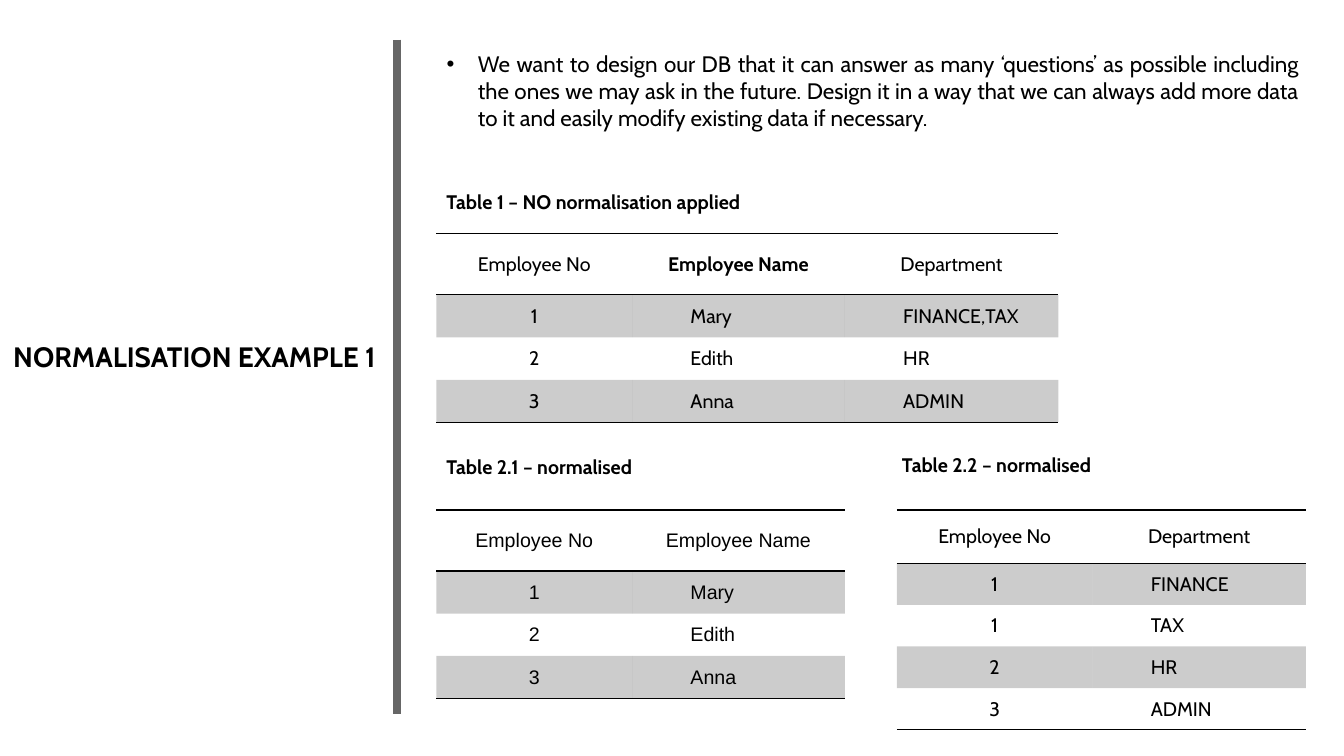
from dataclasses import dataclass

from lxml.etree import SubElement
from pptx import Presentation
from pptx.dml.color import RGBColor
from pptx.enum.shapes import MSO_CONNECTOR as Connector
from pptx.enum.text import MSO_ANCHOR as Anchor, MSO_AUTO_SIZE as AutoSize, PP_ALIGN as Align
from pptx.oxml.ns import qn
from pptx.util import Cm, Pt

# Content
TITLE = "NORMALISATION EXAMPLE 1 "
INTRO = (
    "We want to design our DB that it can answer as many ‘questions’ as possible "
    "including the ones we may ask in the future. Design it in a way that we can "
    "always add more data to it and easily modify existing data if necessary. "
)
# Positions, widths and heights are in centimetres
TABLES = [
    {
        "caption": "Table 1 – NO normalisation applied", "caption_at": (11, 4.65, 9.5),
        "at": (11, 5.89), "columns": (4.93, 5.36, 5.38), "header_height": 1.54,
        "row_height": 1.07, "font": "Cabin", "bold_headers": ("Employee Name",),
        "rows": [
            ("Employee No", "Employee Name", "Department"),
            ("1", "Mary", "FINANCE,TAX"),
            ("2", "Edith", "HR"),
            ("3", "Anna", "ADMIN"),
        ],
    },
    {
        "caption": "Table 2.1 – normalised", "caption_at": (11, 11.33, 7.16),
        "at": (11, 12.85), "columns": (4.93, 5.36), "header_height": 1.54,
        "row_height": 1.07, "font": "Arial", "bold_headers": (),
        "rows": [
            ("Employee No", "Employee Name"),
            ("1", "Mary"),
            ("2", "Edith"),
            ("3", "Anna"),
        ],
    },
    {
        "caption": "Table 2.2 – normalised", "caption_at": (22.48, 11.3, 7.16),
        "at": (22.6, 12.85), "columns": (4.93, 5.38), "header_height": 1.34,
        "row_height": 1.05, "font": "Cabin", "bold_headers": (),
        "rows": [
            ("Employee No", "Department"),
            ("1", "FINANCE"),
            ("1", "TAX"),
            ("2", "HR"),
            ("3", "ADMIN"),
        ],
    },
]


@dataclass(frozen=True)
class Theme:
    font: str = "Cabin"
    ink: str = "000000"
    bar: str = "666666"
    band_alpha: int = 20
    title_size: int = 20
    intro_size: int = 16
    table_size: int = 14
    rule_width: int = 1
    bar_width: int = 6


THEME = Theme()
PLAIN_TABLE_STYLE = "{2D5ABB26-0587-4C30-8999-92F81FD0307C}"


def write(frame, text, size=THEME.table_size, font=THEME.font, bold=False,
          align=Align.LEFT, anchor=Anchor.TOP, level=0, indent=0, hanging=0):
    """Put one formatted paragraph into a text frame."""
    frame.word_wrap = True
    frame.vertical_anchor = anchor
    paragraph = frame.paragraphs[0]
    paragraph.alignment = align
    paragraph.level = level
    paragraph.space_before = Pt(0)
    properties = paragraph._p.get_or_add_pPr()
    properties.set("marL", str(Cm(indent)))
    properties.set("indent", str(Cm(-hanging)))
    run = paragraph.add_run()
    run.text = text
    run.font.size = Pt(size)
    run.font.name = font
    run.font.bold = bold
    run.font.color.rgb = RGBColor.from_string(THEME.ink)


def place(shape, left, top, width, height):
    shape.left, shape.top, shape.width, shape.height = map(Cm, (left, top, width, height))
    shape.text_frame.auto_size = AutoSize.NONE


def add_rule(cell, side):
    line = SubElement(cell._tc.get_or_add_tcPr(), qn(f"a:{side}"),
                      w=str(Pt(THEME.rule_width)))
    SubElement(SubElement(line, qn("a:solidFill")), qn("a:srgbClr"), val=THEME.ink)


def fill_band(cell):
    cell.fill.solid()
    cell.fill.fore_color.rgb = RGBColor.from_string(THEME.ink)
    color = cell._tc.tcPr.find(qn("a:solidFill")).find(qn("a:srgbClr"))
    SubElement(color, qn("a:alpha"), val=str(THEME.band_alpha * 1000))


def format_cell(cell, text, row, column, last_row, font, bold):
    cell.margin_left = cell.margin_right = cell.margin_top = cell.margin_bottom = Cm(0.2)
    centred = row == 0 or column == 0
    write(cell.text_frame, text, font=font, bold=bold,
          align=Align.CENTER if centred else Align.LEFT,
          level=0 if centred else 1, indent=0 if centred else 1.27)
    cell.vertical_anchor = Anchor.MIDDLE
    if row == 0:
        add_rule(cell, "lnT")
    if row in (0, last_row):
        add_rule(cell, "lnB")
    if row % 2:
        fill_band(cell)
    else:
        cell.fill.background()


def add_data_table(slide, data):
    rows, columns = data["rows"], data["columns"]
    heights = [data["header_height"]] + [data["row_height"]] * (len(rows) - 1)
    left, top = data["at"]
    frame = slide.shapes.add_table(len(rows), len(columns), Cm(left), Cm(top),
                                   Cm(sum(columns)), Cm(sum(heights)))
    table = frame.table
    table._tbl.tblPr.find(qn("a:tableStyleId")).text = PLAIN_TABLE_STYLE
    table.first_row = table.horz_banding = False
    for column, width in zip(table.columns, columns):
        column.width = Cm(width)
    for row, height in zip(table.rows, heights):
        row.height = Cm(height)
    for row, texts in enumerate(rows):
        for column, text in enumerate(texts):
            format_cell(table.cell(row, column), text, row, column, len(rows) - 1,
                        data["font"], text in data["bold_headers"])


def add_caption(slide, data):
    left, top, width = data["caption_at"]
    box = slide.shapes.add_textbox(Cm(left), Cm(top), Cm(width), Cm(0.86))
    write(box.text_frame, data["caption"], bold=True)


def add_divider(slide, x, top, bottom):
    divider = slide.shapes.add_connector(Connector.STRAIGHT, Cm(x), Cm(top), Cm(x), Cm(bottom))
    divider.line.color.rgb = RGBColor.from_string(THEME.bar)
    divider.line.width = Pt(THEME.bar_width)
    SubElement(divider._element.spPr, qn("a:effectLst"))


def main():
    presentation = Presentation()
    presentation.slide_width, presentation.slide_height = Cm(33.87), Cm(19.05)
    slide = presentation.slides.add_slide(presentation.slide_layouts[1])

    # Title and introduction
    title, intro = slide.placeholders
    place(title, 0, 8, 9.8, 1.96)
    write(title.text_frame, TITLE, size=THEME.title_size, bold=True,
          align=Align.CENTER, anchor=Anchor.MIDDLE)
    place(intro, 11, 1, 22, 2.57)
    write(intro.text_frame, INTRO, size=THEME.intro_size, align=Align.JUSTIFY,
          anchor=Anchor.MIDDLE, indent=0.79, hanging=0.79)

    # Tables with their captions
    for data in TABLES:
        add_data_table(slide, data)
        add_caption(slide, data)

    # Vertical divider
    add_divider(slide, 10.01, 1, 18)

    presentation.save("out.pptx")


if __name__ == "__main__":
    main()
